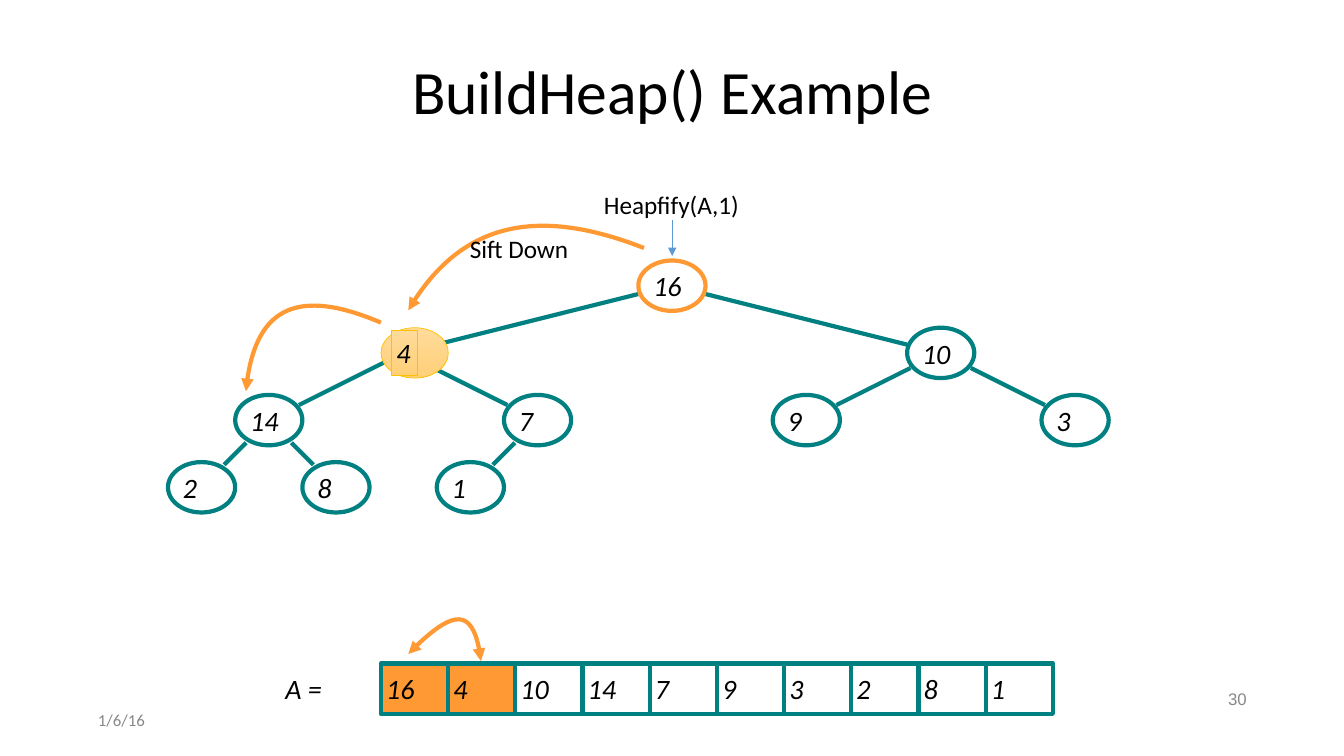
from pptx import Presentation
from pptx import util as u
from pptx.dml.color import RGBColor
from pptx.enum import shapes, text
from pptx.oxml import ns, xmlchemy

TEAL = RGBColor(0x00, 0x80, 0x80)
ORANGE = RGBColor(0xFF, 0x99, 0x33)
GOLD = RGBColor(0xFF, 0xC0, 0x00)
LIGHT_GOLD = RGBColor(0xFF, 0xDB, 0x9B)
DARK_GOLD = RGBColor(0xFF, 0xD0, 0x78)
BLUE = RGBColor(0x5B, 0x9B, 0xD5)
GREY = RGBColor(0x88, 0x88, 0x88)
BLACK = RGBColor(0, 0, 0)
WHITE = RGBColor(0xFF, 0xFF, 0xFF)

# Lengths in cm
STEP = 2.54 / 1.5  # grid pitch and width of a node or cell
HEIGHT = 1.27
ROOT_Y = 7.2
ARRAY_LEFT, ARRAY_TOP = 9.6, 16.72
SWAPPED_X = 10.45  # centre of the highlighted node

OVAL = shapes.MSO_SHAPE.OVAL
RECT = shapes.MSO_SHAPE.RECTANGLE

# Heap in array order, with each node's column on the grid
HEAP = ["16", "4", "10", "14", "7", "9", "3", "2", "8", "1"]
COLUMNS = [10, 6, 14, 4, 8, 12, 16, 3, 5, 7]
# Gap between node centre and edge end, by level of the child
EDGE_GAPS = {1: (0.85, 0.21), 2: (0.76, 0.38), 3: (0.57, 0.57)}


def write(tf, content, size=20, font="Calibri", color=BLACK, italic=False,
          align=text.PP_ALIGN.LEFT, anchor=text.MSO_ANCHOR.MIDDLE,
          wrap=True, spacing=None):
    tf.word_wrap = wrap
    tf.vertical_anchor = anchor
    tf.margin_left = tf.margin_right = u.Cm(0.13)
    tf.margin_top = tf.margin_bottom = u.Cm(0.13)
    p = tf.paragraphs[0]
    p.alignment = align
    p.line_spacing = spacing
    r = p.add_run()
    r.text = content
    r.font.size, r.font.name = u.Pt(size), font
    r.font.italic = italic
    r.font.color.rgb = color


class HeapSlide:
    def __init__(self, s):
        self.s = s

    def title(self, content, x, y, w, h):
        sp = self.s.shapes.title
        sp.left, sp.top, sp.width, sp.height = map(u.Cm, (x, y, w, h))
        write(sp.text_frame, content, size=44, spacing=0.9,
              align=text.PP_ALIGN.CENTER)

    def label(self, content, x, y, w, h, **style):
        sp = self.s.shapes.add_textbox(*map(u.Cm, (x, y, w, h)))
        write(sp.text_frame, content, **style)

    def box(self, kind, x, y, w=STEP, h=HEIGHT, content="", fill=WHITE,
            fade_to=None, line=TEAL, weight=3):
        sp = self.s.shapes.add_shape(kind, *map(u.Cm, (x, y, w, h)))
        sp.shadow.inherit = False
        if fade_to:
            sp.fill.gradient()
            sp.fill.gradient_angle = 270
            for stop, color in zip(sp.fill.gradient_stops, (fill, fade_to)):
                stop.color.rgb = color
        else:
            sp.fill.solid()
            sp.fill.fore_color.rgb = fill
        sp.line.color.rgb, sp.line.width = line, u.Pt(weight)
        if content:
            write(sp.text_frame, content, italic=True)

    def line(self, x1, y1, x2, y2, color=TEAL, weight=3, ends=()):
        sp = self.s.shapes.add_connector(
            shapes.MSO_CONNECTOR.STRAIGHT, *map(u.Cm, (x1, y1, x2, y2)))
        self.stroke(sp, color, weight, ends)
        sp._element.spPr.append(xmlchemy.OxmlElement("a:effectLst"))

    def curve(self, *points, ends=("headEnd",)):
        """Cubic Bezier arrow through start, two controls and end."""
        points = [(u.Cm(x), u.Cm(y)) for x, y in points]

        def at(t):
            weights = ((1 - t) ** 3, 3 * t * (1 - t) ** 2,
                       3 * t * t * (1 - t), t ** 3)
            return tuple(round(sum(k * v for k, v in zip(weights, axis)))
                         for axis in zip(*points))

        # Sampled points give the bounds, then one curve replaces them
        builder = self.s.shapes.build_freeform(*points[0])
        builder.add_line_segments([at(i / 40) for i in range(1, 41)], close=False)
        sp = builder.convert_to_shape()
        outline = sp._element.find(".//" + ns.qn("a:path"))
        for segment in outline.findall(ns.qn("a:lnTo")):
            outline.remove(segment)
        bezier = xmlchemy.OxmlElement("a:cubicBezTo")
        for x, y in points[1:]:
            pt = xmlchemy.OxmlElement("a:pt")
            pt.set("x", str(x - sp.left))
            pt.set("y", str(y - sp.top))
            bezier.append(pt)
        outline.append(bezier)
        sp.fill.background()
        sp.shadow.inherit = False
        self.stroke(sp, ORANGE, 3, ends)

    def stroke(self, sp, color, weight, ends):
        sp.line.color.rgb, sp.line.width = color, u.Pt(weight)
        for end in ends:
            arrow = xmlchemy.OxmlElement("a:" + end)
            arrow.set("type", "triangle")
            sp.line._get_or_add_ln().append(arrow)


def draw_tree(slide):
    def place(i):
        level = (i + 1).bit_length() - 1
        return COLUMNS[i] * STEP, ROOT_Y + level * STEP, level

    # Edges, from each child to its parent
    for i in range(1, len(HEAP)):
        x, y, level = place(i)
        parent = (i - 1) // 2
        px, py, _ = place(parent)
        dx, dy = EDGE_GAPS[level]
        side = 1 if x > px else -1
        start = (px, py) if parent == 1 else (px + side * dx, py + dy)
        end = (x, y) if i == 1 else (x - side * dx, y - dy)
        slide.line(*start, *end)

    # Nodes
    for i, value in enumerate(HEAP):
        x, y, _ = place(i)
        top = y - HEIGHT / 2
        if i == 1:
            gold = dict(fill=LIGHT_GOLD, fade_to=DARK_GOLD, line=GOLD, weight=0.5)
            slide.box(OVAL, SWAPPED_X - STEP / 2, top, **gold)
            slide.box(RECT, 9.86, 8.33, 0.66, 1.12, content=value, **gold)
        else:
            slide.box(OVAL, x - STEP / 2, top, content=value,
                      line=TEAL if i else ORANGE)


def draw_array(slide):
    slide.label("A =", 7.06, 16.81, 1.22, 1.09, italic=True, wrap=False)
    for i, value in enumerate(HEAP):
        slide.box(RECT, ARRAY_LEFT + i * STEP, ARRAY_TOP, content=value,
                  fill=ORANGE if i < 2 else WHITE)


def main():
    prs = Presentation()
    prs.slide_width, prs.slide_height = u.Cm(33.87), u.Cm(19.05)
    slide = HeapSlide(prs.slides.add_slide(prs.slide_layouts[5]))

    # Title and footer
    slide.title("BuildHeap() Example", 2.34, 1.02, 29.21, 2.72)
    slide.label("1/6/16", 2.34, 17.78, 7.62, 0.74, size=12, color=GREY)
    slide.label("30", 23.93, 17.27, 7.62, 0.74, size=12, font="Arial",
                color=GREY, align=text.PP_ALIGN.RIGHT, spacing=0.9)

    draw_tree(slide)
    draw_array(slide)

    # Sift-down arrows and the swap in the array
    slide.curve((10.29, 7.82), (11.53, 5.69), (13.51, 5.18), (16.23, 6.25))
    slide.curve((6.2, 9.86), (6.38, 7.8), (7.52, 7.24), (9.6, 8.13))
    slide.curve((10.29, 16.48), (11.38, 15.34), (11.99, 15.39), (12.12, 16.66),
                ends=("headEnd", "tailEnd"))

    # Call labels
    call = dict(size=18, anchor=text.MSO_ANCHOR.TOP, wrap=False)
    slide.label("Sift Down", 11.71, 5.74, 2.79, 1.04, **call)
    slide.label("Heapfify(A,1)", 15.09, 4.65, 3.68, 1.04, **call)
    slide.line(16.94, 5.54, 16.94, 6.45, color=BLUE, weight=1, ends=("tailEnd",))

    prs.save("out.pptx")


if __name__ == "__main__":
    main()
